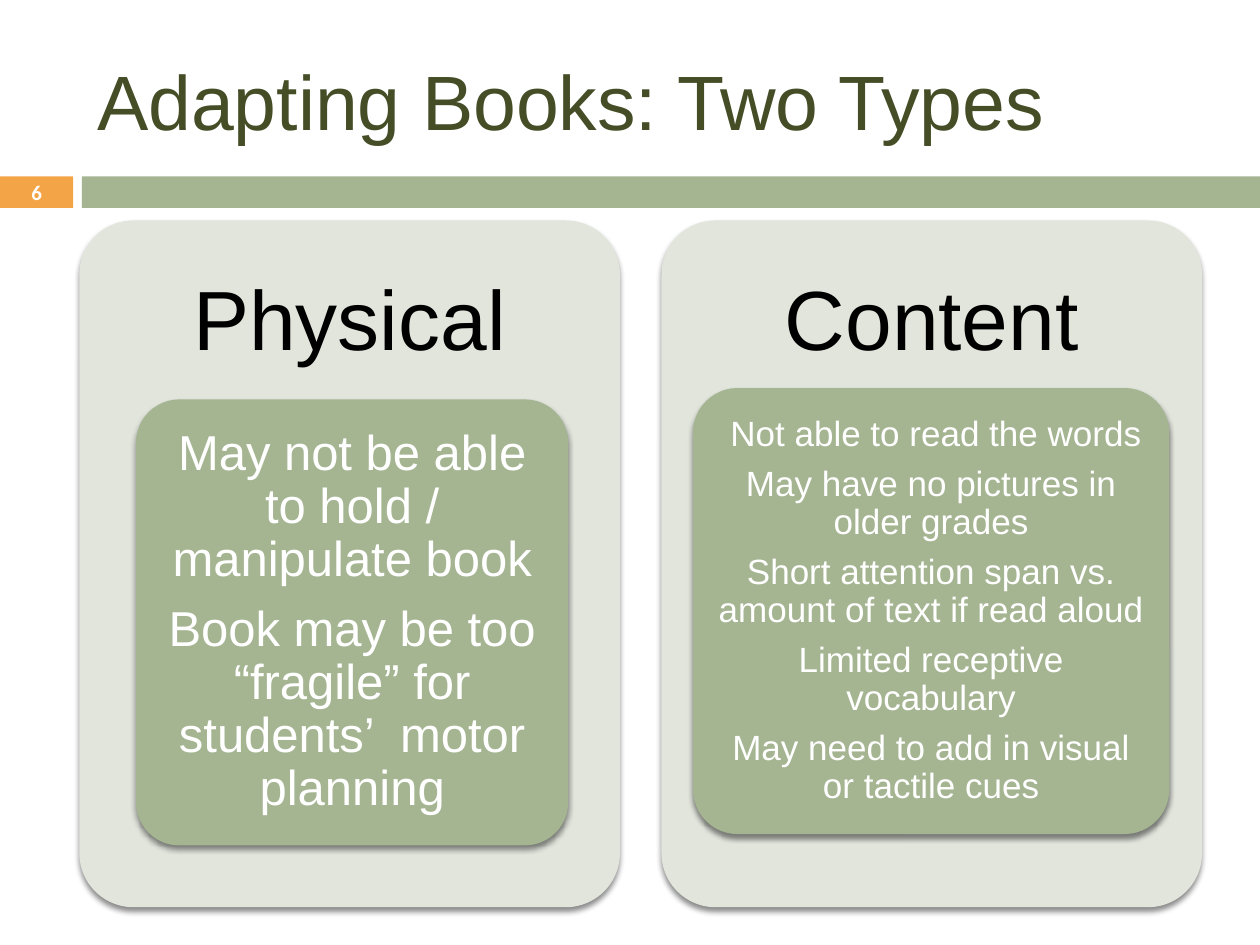
import pptx
import pptx.dml.color
import pptx.enum.shapes
import pptx.enum.text
import pptx.oxml
import pptx.oxml.ns
import pptx.util
from pptx.util import Inches

COLORS = {
    "orange": "F3A447",
    "green": "A5B592",
    "pale": "E1E5DC",
    "olive": "444D26",
    "black": "000000",
    "white": "FFFFFF",
}

SHADOW = (
    f'<a:effectLst {pptx.oxml.ns.nsdecls("a")}>'
    '<a:outerShdw blurRad="38100" dist="30480" dir="5400000" rotWithShape="0">'
    '<a:srgbClr val="000000"><a:alpha val="45000"/></a:srgbClr>'
    "</a:outerShdw></a:effectLst>"
)

COLUMNS = [
    {
        "heading": "Physical",
        "left": 0.63,
        "card": (1.08, 3.17, 3.43, 3.54),
        "inset": (0.08, 0.06),
        "size": 28,
        "items": [
            "May not be able to hold / manipulate book",
            "Book may be too “fragile” for students’  motor planning",
        ],
    },
    {
        "heading": "Content",
        "left": 5.25,
        "card": (5.5, 3.08, 3.78, 3.54),
        "inset": (0.06, 0.04),
        "size": 20,
        "items": [
            " Not able to read the words",
            "May have no pictures in older grades",
            "Short attention span vs. amount of text if read aloud",
            "Limited receptive vocabulary",
            "May need to add in visual or tactile cues",
        ],
    },
]


class SlideBuilder:
    """Holds the style and the current slide, and adds each kind of element."""

    def __init__(self, slide, font="Arial"):
        self.slide = slide
        self.font = font

    def color(self, name):
        return pptx.dml.color.RGBColor.from_string(COLORS[name])

    def add_run(self, paragraph, text, size, color, font=None, bold=False):
        run = paragraph.add_run()
        run.text = text
        run.font.name = font or self.font
        run.font.size = pptx.util.Pt(size)
        run.font.bold = bold
        run.font.color.rgb = self.color(color)

    def place(self, shape, box):
        shape.left, shape.top, shape.width, shape.height = map(Inches, box)

    def title(self, text, box):
        shape = self.slide.shapes.title
        self.place(shape, box)
        frame = shape.text_frame
        frame.auto_size = pptx.enum.text.MSO_AUTO_SIZE.NONE
        frame.vertical_anchor = pptx.enum.text.MSO_ANCHOR.MIDDLE
        paragraph = frame.paragraphs[0]
        paragraph.alignment = pptx.enum.text.PP_ALIGN.LEFT
        self.add_run(paragraph, text, 44, "olive")

    def panel(self, kind, box, color):
        shape = self.slide.shapes.add_shape(kind, *map(Inches, box))
        shape.shadow.inherit = False
        shape.fill.solid()
        shape.fill.fore_color.rgb = self.color(color)
        shape.line.fill.background()
        return shape

    def bar(self, box, color):
        self.panel(pptx.enum.shapes.MSO_SHAPE.RECTANGLE, box, color)

    def card(self, box, color):
        shape = self.panel(pptx.enum.shapes.MSO_SHAPE.ROUNDED_RECTANGLE, box, color)
        shape.adjustments[0] = 0.1
        properties = shape._element.spPr
        properties.remove(properties.find(pptx.oxml.ns.qn("a:effectLst")))
        properties.append(pptx.oxml.parse_xml(SHADOW))

    def text(self, lines, box, inset, size, color, spacing=0.9, after=0.35, **style):
        frame = self.slide.shapes.add_textbox(*map(Inches, box)).text_frame
        frame.word_wrap = True
        frame.vertical_anchor = pptx.enum.text.MSO_ANCHOR.MIDDLE
        frame.margin_left = frame.margin_right = Inches(inset[0])
        frame.margin_top = frame.margin_bottom = Inches(inset[1])
        for index, line in enumerate(lines):
            paragraph = frame.add_paragraph() if index else frame.paragraphs[0]
            paragraph.alignment = pptx.enum.text.PP_ALIGN.CENTER
            paragraph.line_spacing = spacing
            paragraph.space_after = pptx.util.Pt(size * after)
            self.add_run(paragraph, line, size, color, **style)

    def column(self, heading, left, card, inset, size, items):
        self.card((left, 1.75, 4.29, 5.45), "pale")
        self.text([heading], (left, 1.75, 4.29, 1.63), (0.2, 0.2), 48, "black")
        self.card(card, "green")
        x, y, width, height = card
        inner = (x + 0.1, y + 0.1, width - 0.2, height - 0.2)
        self.text(items, inner, inset, size, "white")


def main():
    presentation = pptx.Presentation()
    presentation.slide_width = Inches(10)
    presentation.slide_height = Inches(7.5)
    slide = presentation.slides.add_slide(presentation.slide_layouts[5])
    builder = SlideBuilder(slide)
    builder.bar((0, 1.4, 0.58, 0.25), "orange")
    builder.bar((0.65, 1.4, 9.35, 0.25), "green")
    builder.title("Adapting Books: Two Types", (0.67, 0.25, 8.92, 1.08))
    for column in COLUMNS:
        builder.column(**column)
    builder.text(["6"], (0, 1.39, 0.58, 0.27), (0.1, 0.05), 11.9, "white",
                 spacing=1.0, after=0, font="Calibri", bold=True)
    presentation.save("out.pptx")


if __name__ == "__main__":
    main()
